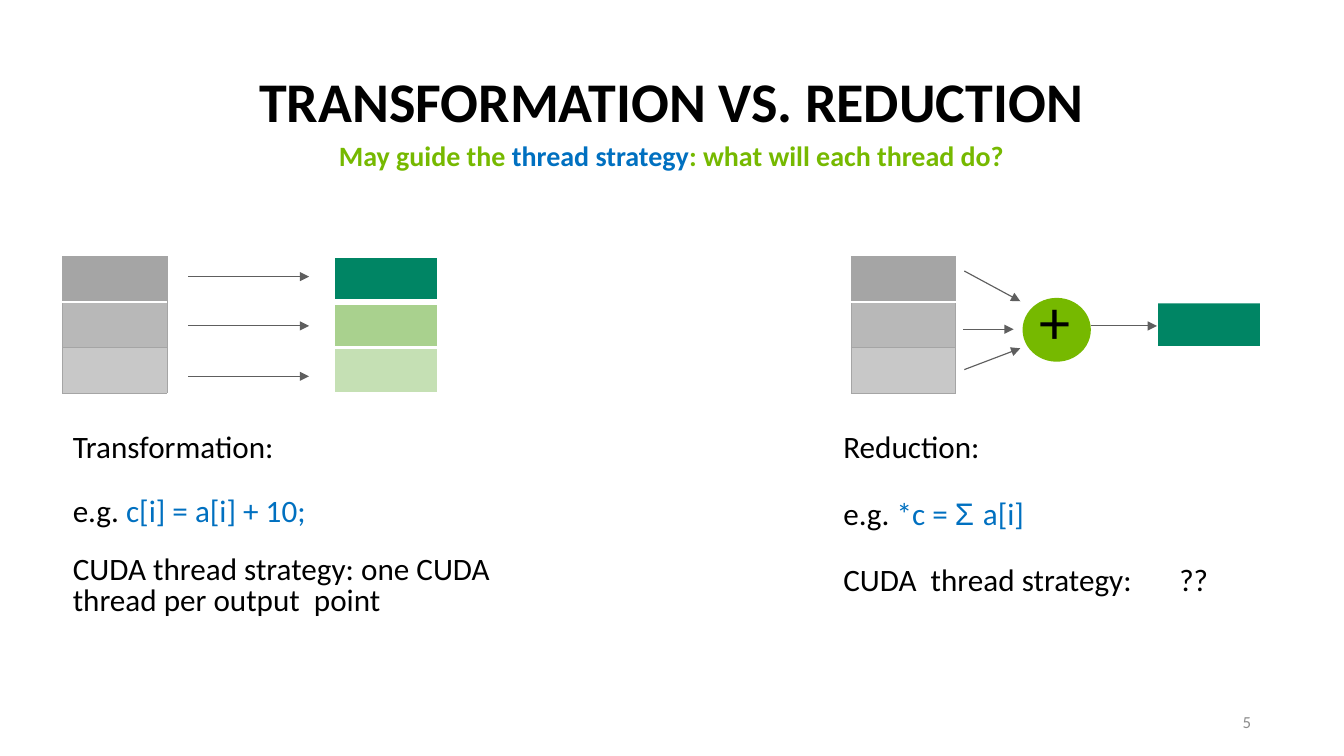
from dataclasses import dataclass

from lxml import etree
from pptx import Presentation
from pptx.dml.color import RGBColor
from pptx.enum.shapes import MSO_CONNECTOR, MSO_SHAPE
from pptx.enum.text import MSO_ANCHOR, PP_ALIGN
from pptx.oxml.ns import qn
from pptx.util import Inches, Pt

LINE = MSO_CONNECTOR.STRAIGHT
RECT, OVAL = MSO_SHAPE.RECTANGLE, MSO_SHAPE.OVAL
TOP, MID = MSO_ANCHOR.TOP, MSO_ANCHOR.MIDDLE
LEFT, CENTER, RIGHT = PP_ALIGN.LEFT, PP_ALIGN.CENTER, PP_ALIGN.RIGHT


@dataclass(frozen=True)
class Theme:
    font: str = "Calibri"
    symbol: str = "Arial"
    black: str = "000000"
    white: str = "FFFFFF"
    lime: str = "76B900"
    blue: str = "0070C0"
    teal: str = "008564"
    arrow: str = "5E5E5E"
    page: str = "8C8C8C"
    edge: str = "A5A5A5"
    grays: tuple = ("A5A5A5", "B8B8B8", "C8C8C8")
    greens: tuple = ("008564", "A9D18E", "C5E0B4")
    title: float = 36
    sub: float = 18
    body: float = 20
    plus: float = 40
    small: float = 10.8


class Deck:
    def __init__(self, theme, slide):
        self.theme = theme
        self.slide = slide

    def text(self, x, y, w, h, paras, size, align=LEFT, anchor=TOP, bold=False):
        box = self.slide.shapes.add_textbox(Inches(x), Inches(y), Inches(w), Inches(h))
        frame = box.text_frame
        frame.word_wrap = True
        frame.vertical_anchor = anchor
        frame.margin_left = frame.margin_right = 0
        frame.margin_top = frame.margin_bottom = 0
        for num, (runs, style) in enumerate(paras):
            para = frame.paragraphs[0] if num == 0 else frame.add_paragraph()
            para.alignment = align
            if "before" in style:
                para.space_before = Pt(style["before"])
            if "lines" in style:
                para.line_spacing = style["lines"]
            if "tab" in style:
                tabs = etree.SubElement(para._p.get_or_add_pPr(), qn("a:tabLst"))
                stop = str(Inches(style["tab"]))
                etree.SubElement(tabs, qn("a:tab"), pos=stop, algn="l")
            for words, color, *face in runs:
                run = para.add_run()
                run.text = words
                run.font.name = face[0] if face else self.theme.font
                run.font.size = Pt(style.get("size", size))
                run.font.bold = bold
                run.font.color.rgb = RGBColor.from_string(color)

    def border(self, cell, side, color, width):
        props = cell._tc.get_or_add_tcPr()
        line = etree.Element(qn("a:ln" + side), w=str(Pt(width)))
        fill = etree.SubElement(line, qn("a:solidFill"))
        etree.SubElement(fill, qn("a:srgbClr"), val=color)
        props.insert("LRTB".index(side), line)

    def stack(self, x, y, fills, edge, width, split):
        shape = self.slide.shapes.add_table(
            len(fills), 1, Inches(x), Inches(y), Inches(0.93), Inches(1.22))
        table = shape.table
        table.first_row = table.horz_banding = False
        for row, color in enumerate(fills):
            cell = table.cell(row, 0)
            cell.margin_top = cell.margin_bottom = 0
            cell.fill.solid()
            cell.fill.fore_color.rgb = RGBColor.from_string(color)
            seam = {0: "B", 1: "T"}.get(row)
            for side in "LRTB":
                paint = (self.theme.white, split) if side == seam else (edge, width)
                self.border(cell, side, *paint)

    def shape(self, kind, x, y, w, h, color):
        item = self.slide.shapes.add_shape(kind, Inches(x), Inches(y), Inches(w), Inches(h))
        item.shadow.inherit = False
        item.fill.solid()
        item.fill.fore_color.rgb = RGBColor.from_string(color)
        item.line.fill.background()

    def rule(self, x1, y1, x2, y2, color, width):
        item = self.slide.shapes.add_connector(
            LINE, Inches(x1), Inches(y1), Inches(x2), Inches(y2))
        item.line.color.rgb = RGBColor.from_string(color)
        item.line.width = Pt(width)
        etree.SubElement(item._element.spPr, qn("a:effectLst"))
        return item

    def arrow(self, x1, y1, x2, y2):
        item = self.rule(x1, y1, x2, y2, self.theme.arrow, 0.75)
        etree.SubElement(item.line._get_or_add_ln(), qn("a:tailEnd"), type="triangle")


def main():
    show = Presentation()
    show.slide_width, show.slide_height = Inches(12), Inches(6.75)
    theme = Theme()
    deck = Deck(theme, show.slides.add_slide(show.slide_layouts[6]))
    black, blue, lime = theme.black, theme.blue, theme.lime

    deck.text(0.82, 0.66, 10.35, 0.88, [
        ([("TRANSFORMATION VS. REDUCTION", black)], {"lines": 0.9}),
        ([("May guide the ", lime), ("thread strategy", blue),
          (": what will each thread do?", lime)],
         {"size": theme.sub, "before": 5, "lines": 0.9}),
    ], theme.title, CENTER, bold=True)

    top = 2.29
    for left in (0.56, 7.6):
        deck.stack(left, top, theme.grays, theme.edge, 0.5, 1)
    deck.stack(2.98, top, theme.greens, theme.white, 1.5, 4.25)

    deck.shape(RECT, 10.33, 2.71, 0.93, 0.4, theme.teal)
    for x in (10.33, 11.26):
        deck.rule(x, 2.7, x, 3.13, theme.white, 1)
    for y, width in ((2.7, 1), (3.11, 3)):
        deck.rule(10.32, y, 11.27, y, theme.white, width)

    deck.shape(OVAL, 9.13, 2.66, 0.61, 0.57, lime)
    deck.text(9.28, 2.52, 0.32, 0.67, [([("+", black)], {})], theme.plus)

    for y in (2.47, 2.91, 3.36):
        deck.arrow(1.68, y, 2.76, y)
    for ends in ((8.61, 2.42, 9.11, 2.69), (8.6, 2.94, 9.05, 2.94),
                 (8.61, 3.3, 9.11, 3.11), (9.74, 2.91, 10.33, 2.91)):
        deck.arrow(*ends)

    wide = {"before": 1.6, "lines": 1.71}
    deck.text(7.53, 3.82, 3.66, 1.45, [
        ([("Reduction:", black)], {}),
        ([("e.g. ", black), ("*c = ", blue), ("Σ ", blue, theme.symbol),
          ("a[i]", blue)], wide),
        ([("CUDA  thread strategy:\t??", black)], {**wide, "tab": 3}),
    ], theme.body)
    deck.text(0.65, 3.82, 4.46, 1.72, [
        ([("Transformation:", black)], {}),
        ([("e.g. ", black), ("c[i] = a[i] + 10;", blue)], {"before": 16.6}),
        ([("CUDA thread strategy: one CUDA thread per output  point", black)],
         {"before": 17.4, "lines": Pt(19.9)}),
    ], theme.body)
    deck.text(8.47, 6.26, 2.7, 0.36, [([("5", theme.page)], {"lines": Pt(14.2)})],
              theme.small, RIGHT, MID)
    show.save("out.pptx")


if __name__ == "__main__":
    main()
